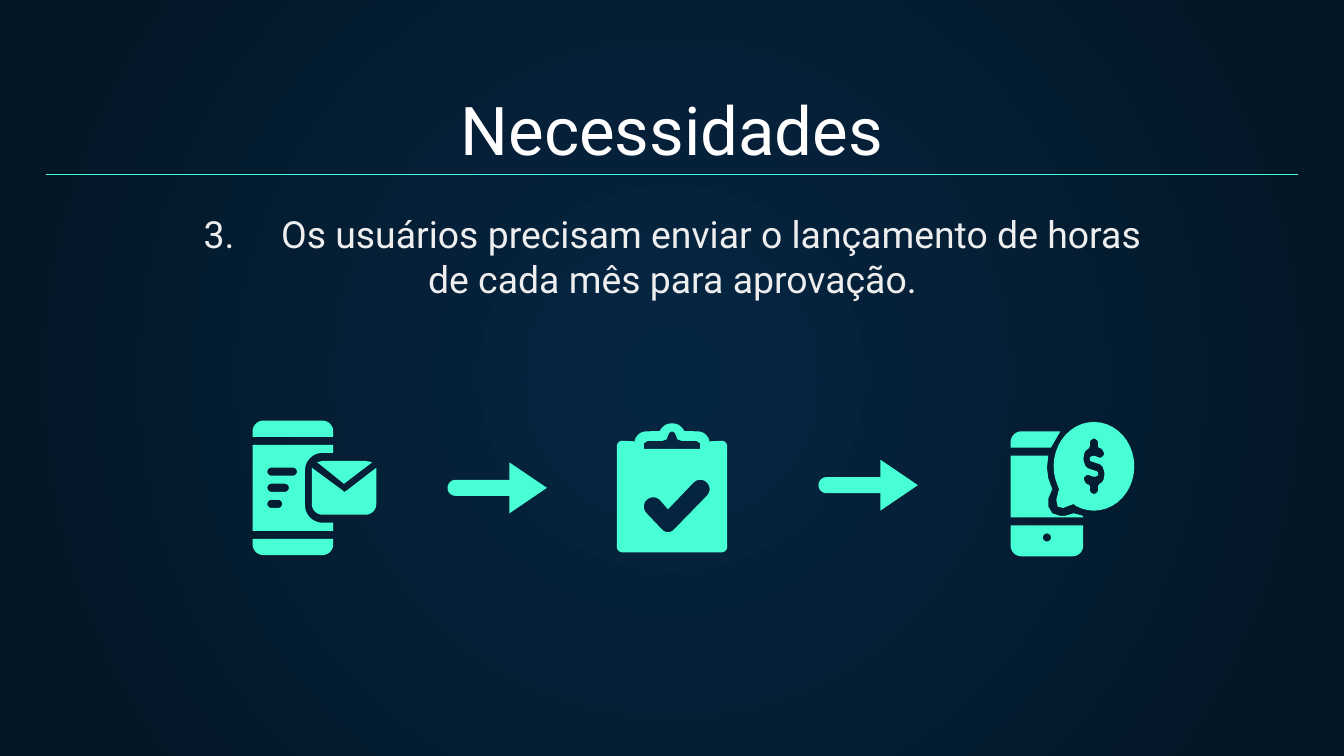
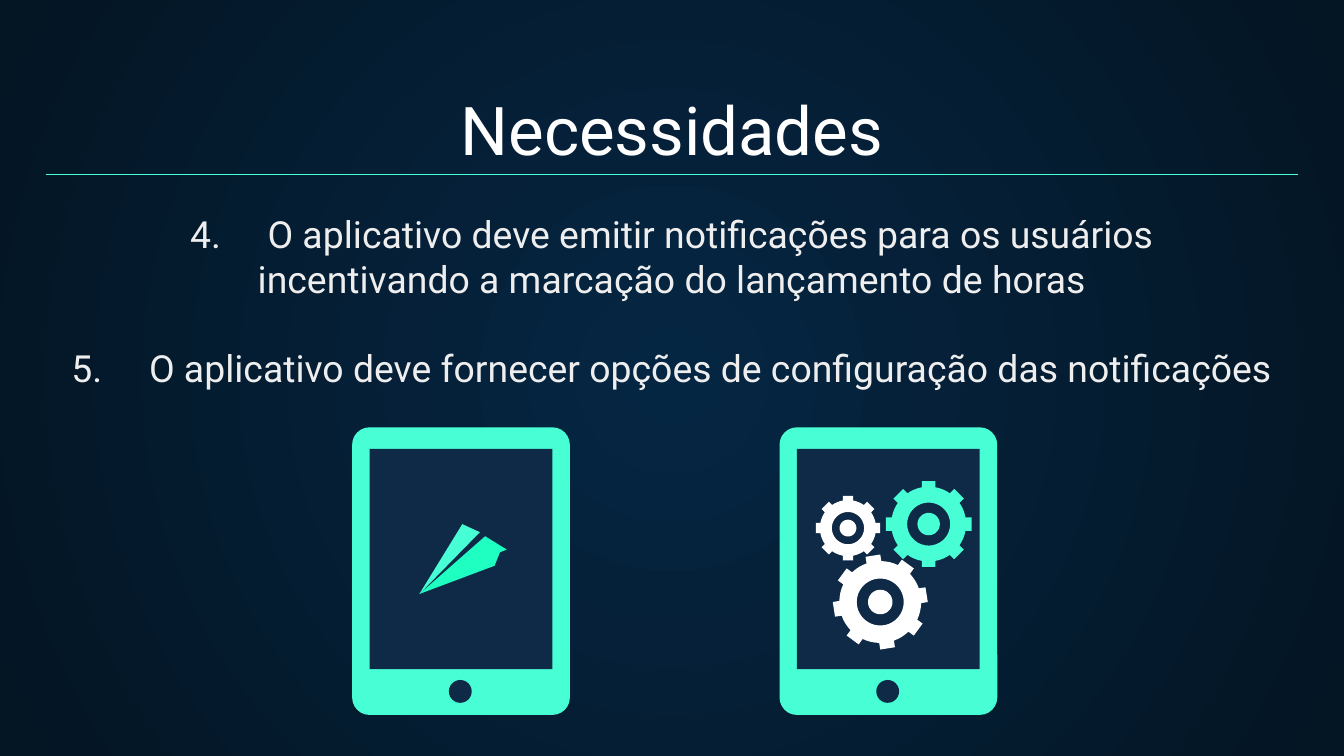
from math import cos, radians, sin

from lxml import etree
from pptx import Presentation
from pptx.dml.color import RGBColor
from pptx.enum import shapes, text
from pptx.oxml import ns
from pptx.util import Inches, Pt

MINT, BRIGHT, NAVY, WHITE, PALE = "48FFD5", "1EFFC1", "0E2A47", "FFFFFF", "EEEEEE"
GLOW, EDGE = "052643", "041523"
FONT = "Roboto"
SHAPE = shapes.MSO_SHAPE


def color(value):
    return RGBColor.from_string(value)


def arc(x, y, radius, start, stop, steps=10, tall=None):
    angles = [radians(start + (stop - start) * i / steps) for i in range(steps + 1)]
    return [(x + radius * cos(a), y + (tall or radius) * sin(a)) for a in angles]


def disc(x, y, radius):
    return arc(x, y, radius, 0, 360, 36)


def rounded(left, top, width, height, radius, upper=True, lower=True):
    right, bottom = left + width, top + height
    if upper:
        points = arc(left + radius, top + radius, radius, 180, 270)
        points += arc(right - radius, top + radius, radius, 270, 360)
    else:
        points = [(left, top), (right, top)]
    if lower:
        points += arc(right - radius, bottom - radius, radius, 0, 90)
        points += arc(left + radius, bottom - radius, radius, 90, 180)
    else:
        points += [(right, bottom), (left, bottom)]
    return points


def mirrored(half, axis):
    return half + [(2 * axis - x, y) for x, y in reversed(half)]


def turned(half, x0, y0):
    return half + [(2 * x0 - x, 2 * y0 - y) for x, y in half]


def softened(points):
    soft = []
    for (x1, y1), (x2, y2) in zip(points, points[1:] + points[:1]):
        soft += [(x1 + (x2 - x1) * t, y1 + (y2 - y1) * t) for t in (0.2, 0.8)]
    return soft


class Deck:
    """Hold the shared style and the current slide."""

    def __init__(self):
        self.deck = Presentation()
        self.deck.slide_width = Inches(10)
        self.deck.slide_height = Inches(10) * 9 // 16

    def add_page(self, title):
        self.page = self.deck.slides.add_slide(self.deck.slide_layouts[6])
        fill = self.page.background.fill
        fill.gradient()
        for stop, value in zip(fill.gradient_stops, (GLOW, EDGE)):
            stop.color.rgb = color(value)
        gradient = self.page.element.find(".//" + ns.qn("a:gradFill"))
        gradient.remove(gradient.find(ns.qn("a:lin")))
        radial = etree.SubElement(gradient, ns.qn("a:path"), path="circle")
        etree.SubElement(radial, ns.qn("a:fillToRect"), l="50000", t="50000",
                         r="50000", b="50000")
        frame = self.frame(0.34, 0.7, 9.32, 0.66)
        frame.vertical_anchor = text.MSO_ANCHOR.BOTTOM
        para = frame.paragraphs[0]
        para.alignment = text.PP_ALIGN.CENTER
        self.span(para, title, 36, WHITE)
        self.rule(0.34, 9.66, 1.3)

    def frame(self, left, top, width, height):
        box = self.page.shapes.add_textbox(Inches(left), Inches(top),
                                           Inches(width), Inches(height))
        frame = box.text_frame
        frame.word_wrap = True
        frame.margin_left = frame.margin_right = Inches(0.1)
        frame.margin_top = frame.margin_bottom = Inches(0.1)
        return frame

    def span(self, para, words, size=20, ink=PALE):
        span = para.add_run()
        span.text = words
        span.font.name = FONT
        span.font.size = Pt(size)
        span.font.color.rgb = color(ink)
        return span

    def needs(self, left, width, height, items):
        frame = self.frame(left, 1.47, width, height)
        para = frame.paragraphs[0]
        for index, (number, *lines) in enumerate(items):
            for row, words in enumerate(lines):
                if index or row:
                    para = frame.add_paragraph()
                para.alignment = text.PP_ALIGN.CENTER
                if row == 0:
                    para.space_before = Pt(24 if index else 0)
                    self.span(para, number)
                    gap = self.span(para, " ")
                    gap.font._element.set("spc", "2000")
                self.span(para, words)

    def rule(self, left, right, top):
        line = self.page.shapes.add_connector(
            shapes.MSO_CONNECTOR.STRAIGHT, Inches(left), Inches(top),
            Inches(right), Inches(top))
        line.line.color.rgb = color(MINT)
        line.line.width = Pt(0.75)
        etree.SubElement(line._element.spPr, ns.qn("a:effectLst"))

    def paint(self, shape, ink):
        shape.shadow.inherit = False
        shape.fill.solid()
        shape.fill.fore_color.rgb = color(ink)
        shape.line.fill.background()
        return shape

    def preset(self, kind, left, top, width, height, ink):
        shape = self.page.shapes.add_shape(kind, Inches(left), Inches(top),
                                           Inches(width), Inches(height))
        return self.paint(shape, ink)

    def outline(self, *contours, ink=MINT):
        builder = None
        for contour in contours:
            start, *rest = [(Inches(x), Inches(y)) for x, y in contour]
            if builder:
                builder.move_to(*start)
            else:
                builder = self.page.shapes.build_freeform(*start, scale=1.0)
            builder.add_line_segments(rest, close=True)
        self.paint(builder.convert_to_shape(), ink)

    def arrow(self, x, y):
        neck = x + 0.46
        self.outline([(x + 0.74, y), (neck, y - 0.19), (neck, y - 0.06),
                      *arc(x + 0.06, y, 0.06, 270, 90),
                      (neck, y + 0.06), (neck, y + 0.19)])

    def mail_phone(self):
        self.outline([(2.4, 3.43), (2.36, 3.44), (2.56, 3.6), (2.77, 3.44), (2.72, 3.43)])
        self.outline([(2.32, 3.48), *arc(2.4, 3.75, 0.08, 180, 90),
                      *arc(2.72, 3.75, 0.08, 90, 0), (2.8, 3.48),
                      (2.58, 3.65), (2.56, 3.66), (2.55, 3.65)])
        screen = [(1.88, 3.31), (1.88, 3.95), (2.48, 3.95), (2.48, 3.89),
                  *arc(2.4, 3.76, 0.13, 90, 180), *arc(2.4, 3.5, 0.13, 180, 270),
                  (2.48, 3.37), (2.48, 3.31)]
        rows = [rounded(1.99, 3.48 + 0.12 * i, width, 0.06, 0.03)
                for i, width in enumerate((0.22, 0.16, 0.11))]
        self.outline(screen, *rows)
        self.outline(rounded(1.88, 3.13, 0.6, 0.12, 0.08, lower=False))
        self.outline(rounded(1.88, 4.01, 0.6, 0.12, 0.08, upper=False))

    def clipboard(self):
        board = [*arc(5, 3.25, 0.1, 270, 205), *arc(4.81, 3.3, 0.09, 270, 190),
                 *arc(4.63, 3.32, 0.04, 270, 180), *arc(4.63, 4.07, 0.04, 180, 90)]
        clip = [(5, 3.21), (4.98, 3.22), (4.97, 3.24), (4.96, 3.27), (4.93, 3.28),
                (4.82, 3.28), (4.79, 3.3), (4.79, 3.34)]
        check = [(4.97, 3.79), *arc(5.21, 3.64, 0.07, 225, 405),
                 *arc(4.97, 3.9, 0.06, 45, 135), *arc(4.86, 3.77, 0.07, 135, 315)]
        self.outline(mirrored(board, 5), mirrored(clip, 5), check)

    def money_phone(self):
        self.outline([*arc(7.6, 3.29, 0.08, 180, 270), (7.89, 3.21),
                      (7.82, 3.33), (7.52, 3.33)])
        self.outline([(7.52, 3.39), (7.52, 3.85), (8.06, 3.85), (8.06, 3.84),
                      (7.99, 3.82), (7.92, 3.84), (7.89, 3.84), (7.83, 3.82),
                      (7.8, 3.77), (7.8, 3.71), (7.83, 3.64), (7.8, 3.56),
                      (7.79, 3.48), (7.8, 3.39)])
        self.outline(rounded(7.52, 3.91, 0.54, 0.23, 0.08, upper=False),
                     disc(7.79, 4, 0.03))
        bubble = arc(8.14, 3.47, 0.3, 154, 477, 36, tall=0.33)
        tail = [(7.99, 3.75), (7.91, 3.78), (7.87, 3.77), (7.86, 3.72), (7.88, 3.64)]
        dollar = [(8.11, 3.33), (8.11, 3.28), (8.14, 3.26), (8.17, 3.28), (8.17, 3.33),
                  (8.2, 3.34), (8.22, 3.38), (8.19, 3.41), (8.14, 3.39), (8.11, 3.4),
                  (8.11, 3.43), (8.14, 3.44), (8.2, 3.46), (8.22, 3.52), (8.21, 3.58)]
        self.outline(bubble + tail, softened(turned(dollar, 8.14, 3.47)))

    def tablet(self, left):
        case = self.preset(SHAPE.ROUNDED_RECTANGLE, left, 3.18, 1.62, 2.14, MINT)
        case.adjustments[0] = 0.08
        self.preset(SHAPE.RECTANGLE, left + 0.13, 3.34, 1.36, 1.64, NAVY)
        self.preset(SHAPE.OVAL, left + 0.72, 5.06, 0.17, 0.17, NAVY)

    def paper_plane(self):
        self.outline([(3.61, 3.99), (3.12, 4.42), (3.68, 4.21), (3.72, 4.11),
                      (3.77, 4.09)], ink=BRIGHT)
        self.outline([(3.44, 3.9), (3.12, 4.42), (3.57, 3.96)])

    def gear(self, x, y, radius, ink, tilt=0):
        wheel = []
        for angle in range(tilt, tilt + 360, 45):
            wheel += arc(x, y, radius * 1.01, angle - 9, angle + 9, 1)
            wheel += arc(x, y, radius * 0.87, angle + 10.5, angle + 34.5, 4)
        self.outline(wheel, disc(x, y, radius * 0.5), disc(x, y, radius * 0.26), ink=ink)


def main():
    deck = Deck()
    deck.add_page("Necessidades")
    deck.needs(0.74, 8.53, 0.88, [
        ("3.", "Os usuários precisam enviar o lançamento de horas",
         "de cada mês para aprovação.")])
    deck.mail_phone()
    deck.arrow(3.33, 3.63)
    deck.clipboard()
    deck.arrow(6.09, 3.61)
    deck.money_phone()

    deck.add_page("Necessidades")
    deck.needs(0.34, 9.32, 1.55, [
        ("4.", "O aplicativo deve emitir notificações para os usuários",
         "incentivando a marcação do lançamento de horas"),
        ("5.", "O aplicativo deve fornecer opções de configuração das notificações")])
    deck.tablet(2.62)
    deck.paper_plane()
    deck.tablet(5.8)
    deck.gear(6.91, 3.9, 0.32, MINT)
    deck.gear(6.31, 3.93, 0.24, WHITE)
    deck.gear(6.55, 4.48, 0.35, WHITE, tilt=-9)
    deck.deck.save("out.pptx")


if __name__ == "__main__":
    main()
